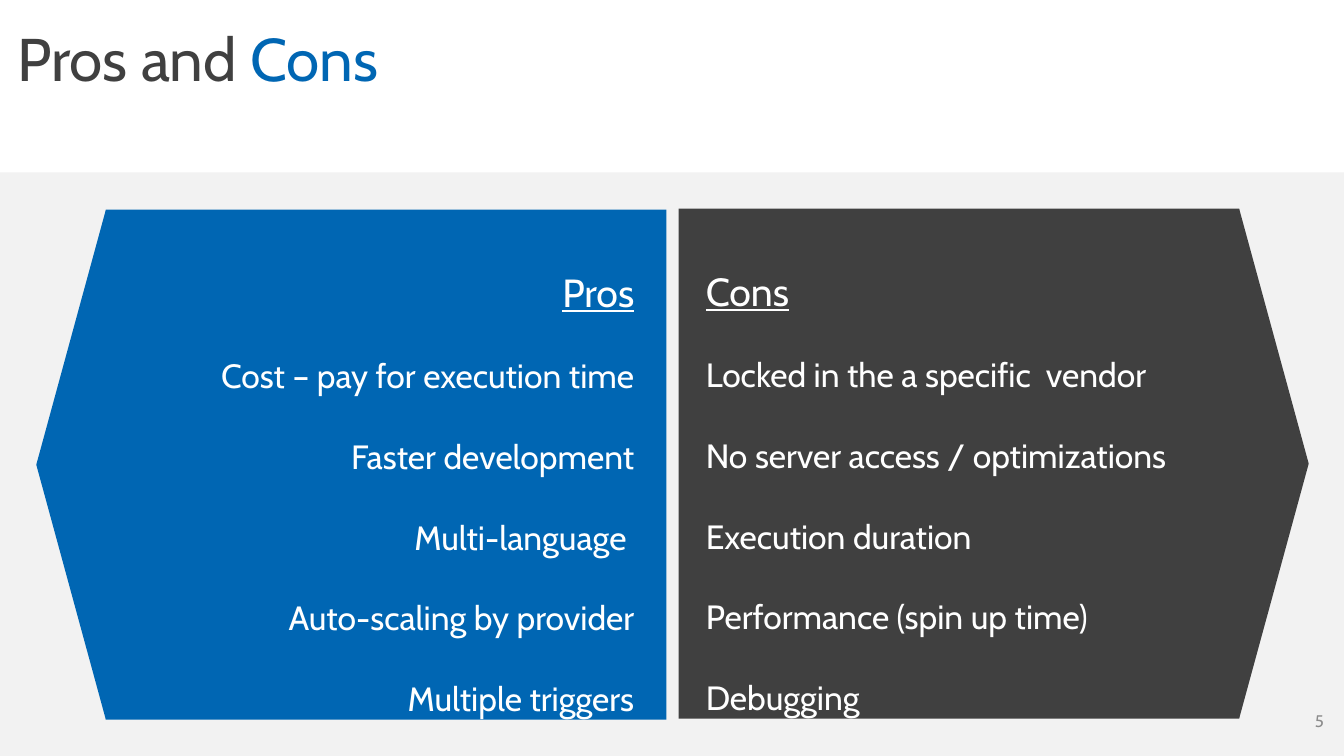
from lxml import etree
from pptx import Presentation
from pptx.dml.color import RGBColor
from pptx.enum.shapes import MSO_SHAPE
from pptx.enum.text import MSO_ANCHOR, MSO_AUTO_SIZE, PP_ALIGN
from pptx.oxml.ns import qn
from pptx.util import Inches, Pt

RECT, TRI = MSO_SHAPE.RECTANGLE, MSO_SHAPE.ISOSCELES_TRIANGLE
LEFT, RIGHT = PP_ALIGN.LEFT, PP_ALIGN.RIGHT
TOP, MIDDLE = MSO_ANCHOR.TOP, MSO_ANCHOR.MIDDLE
FIXED = MSO_AUTO_SIZE.NONE

FONT = "Cabin"
BLUE, DARK, WHITE, PALE, GREY = "0066B3", "404040", "FFFFFF", "F2F2F2", "8C8C8C"
WIDE, HIGH, TIP = 5.56, 5.06, 0.69

TITLE = [[("Pros and ", DARK), ("Cons", BLUE)]]
PROS = ["Pros", "Cost – pay for execution time", "Faster development",
        "Multi-language ", "Auto-scaling by provider", "Multiple triggers"]
CONS = ["Cons", "Locked in the a specific  vendor",
        "No server access / optimizations", "Execution duration",
        "Performance (spin up time)", "Debugging"]
PANELS = [
    dict(lines=PROS, fill=BLUE, left=1.05, top=2.08, text=0.55, align=RIGHT, turn=270),
    dict(lines=CONS, fill=DARK, left=6.73, top=2.07, text=6.9, align=LEFT, turn=90),
]


def color(code):
    return RGBColor.from_string(code)


def place(item, left, top, width, height):
    item.left, item.top = Inches(left), Inches(top)
    item.width, item.height = Inches(width), Inches(height)


def draw(kind, fill, left, top, width, height, turn=0):
    item = slide.shapes.add_shape(
        kind, Inches(left), Inches(top), Inches(width), Inches(height))
    item.shadow.inherit = False
    item.fill.solid()
    item.fill.fore_color.rgb = color(fill)
    item.line.fill.background()
    item.rotation = turn


def write(item, lines, size, align=LEFT, anchor=TOP, space=1, head=None):
    frame = item.text_frame
    frame.word_wrap = True
    frame.auto_size = FIXED
    frame.vertical_anchor = anchor
    for i, runs in enumerate(lines):
        para = frame.paragraphs[0] if i == 0 else frame.add_paragraph()
        para.alignment = align
        para.line_spacing = space
        para.space_before = para.space_after = Pt(0)
        props = para._p.get_or_add_pPr()
        props.set("marL", "0")
        props.set("indent", "0")
        etree.SubElement(props, qn("a:buNone"))
        for text, code in runs:
            run = para.add_run()
            run.text = text
            font = run.font
            font.name = FONT
            font.size = Pt(head if head and i == 0 else size)
            font.underline = bool(head and i == 0)
            font.color.rgb = color(code)


deck = Presentation()
deck.slide_width, deck.slide_height = Inches(13.33), Inches(7.5)
slide = deck.slides.add_slide(deck.slide_layouts[3])
title, *lists = slide.placeholders

draw(RECT, PALE, 0, 1.71, 13.33, 5.79)
place(title, 0.07, 0.16, 13.11, 0.82)
write(title, TITLE, 43)

for body, panel in zip(lists, PANELS):
    left, top, fill = panel["left"], panel["top"], panel["fill"]
    edge = left - TIP / 2 if panel["turn"] == 270 else left + WIDE + TIP / 2
    draw(RECT, fill, left, top, WIDE, HIGH)
    draw(TRI, fill, edge - HIGH / 2, top + (HIGH - TIP) / 2, HIGH, TIP, panel["turn"])
    place(body, panel["text"], top + 0.06, 5.84, 5.08)
    lines = [[(line, WHITE)] for line in panel["lines"]]
    write(body, lines, 24, align=panel["align"], space=2, head=28)
    slide.shapes._spTree.append(body._element)

number = slide.shapes.add_textbox(Inches(10.23), Inches(6.95), Inches(3), Inches(0.4))
write(number, [[("5", GREY)]], 12, align=RIGHT, anchor=MIDDLE)

deck.save("out.pptx")
